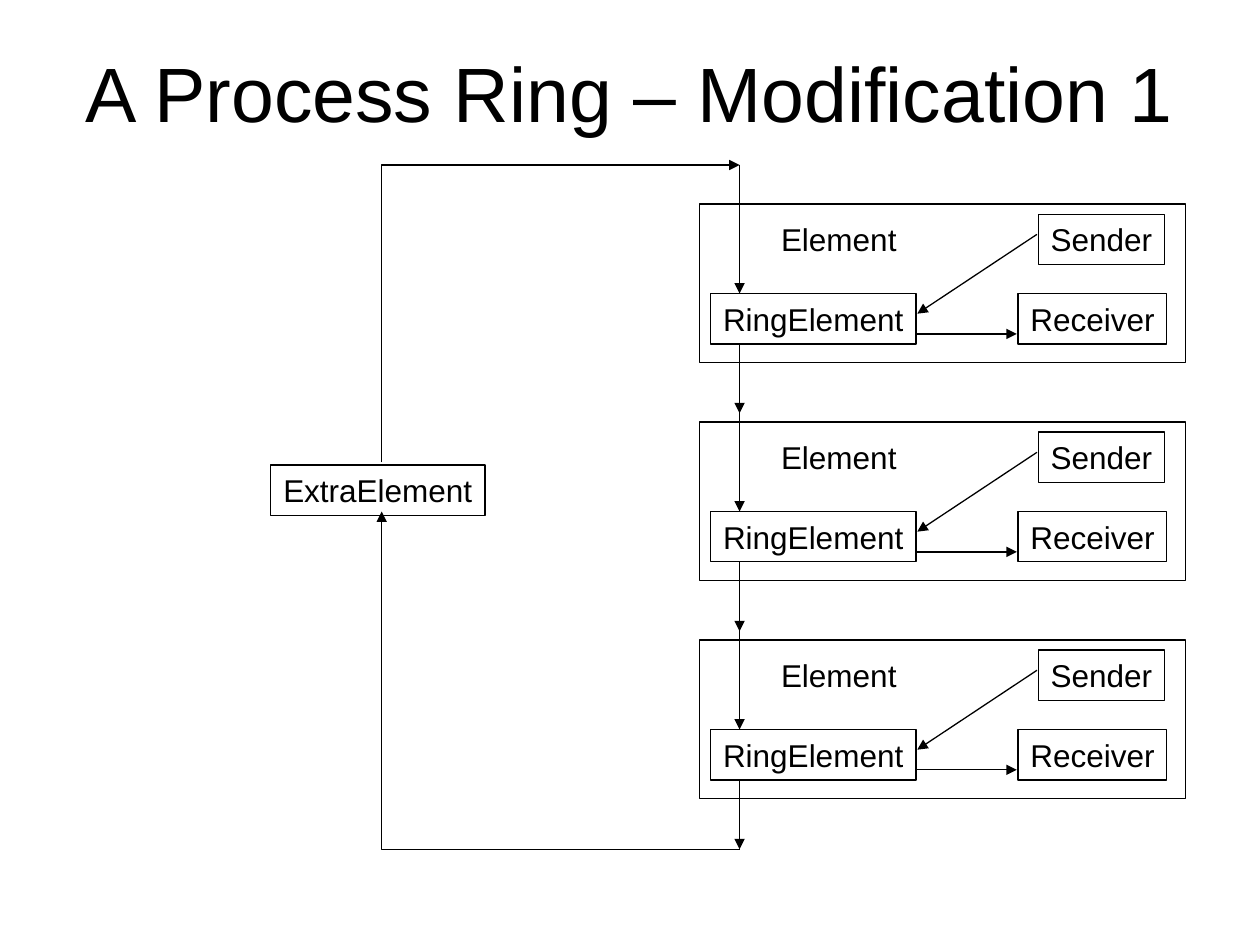
from dataclasses import dataclass

import pptx
import pptx.dml.color
import pptx.enum.shapes
import pptx.enum.text
import pptx.oxml
import pptx.util
from pptx.util import Inches


@dataclass(frozen=True)
class Theme:
    font: str = "Arial"
    ink: pptx.dml.color.RGBColor = pptx.dml.color.RGBColor(0, 0, 0)
    title_size: pptx.util.Pt = pptx.util.Pt(44)
    label_size: pptx.util.Pt = pptx.util.Pt(18)
    line_width: pptx.util.Pt = pptx.util.Pt(0.75)


THEME = Theme()
DRAWING_NAMESPACE = "http://schemas.openxmlformats.org/drawingml/2006/main"
RING_X = 5.87
RING_TOP = 1.31
RING_BOTTOM = 6.74
ELEMENT_COUNT = 3
ELEMENT_PITCH = 1.73


def format_paragraph(paragraph, size, alignment):
    paragraph.font.name = THEME.font
    paragraph.font.size = size
    paragraph.font.color.rgb = THEME.ink
    paragraph.alignment = alignment


def style_line(shape):
    shape.line.color.rgb = THEME.ink
    shape.line.width = THEME.line_width


def add_arrowhead(shape):
    """Put a triangle at the end of the shape's line."""
    line = shape.line._get_or_add_ln()
    line.append(pptx.oxml.parse_xml(
        f'<a:tailEnd xmlns:a="{DRAWING_NAMESPACE}" type="triangle"/>'
    ))


def add_box(shapes, left, top, width, height):
    box = shapes.add_shape(
        pptx.enum.shapes.MSO_SHAPE.RECTANGLE,
        Inches(left), Inches(top), Inches(width), Inches(height),
    )
    box.shadow.inherit = False
    box.fill.background()
    style_line(box)
    return box


def write_label(shape, text):
    """Write one line, with the right inset free so that it never breaks."""
    frame = shape.text_frame
    frame.text = text
    frame.word_wrap = True
    frame.auto_size = pptx.enum.text.MSO_AUTO_SIZE.NONE
    frame.margin_right = 0
    frame.vertical_anchor = pptx.enum.text.MSO_ANCHOR.TOP
    format_paragraph(frame.paragraphs[0], THEME.label_size, pptx.enum.text.PP_ALIGN.LEFT)


def add_arrow(shapes, start, end):
    arrow = shapes.add_connector(
        pptx.enum.shapes.MSO_CONNECTOR.STRAIGHT,
        *(Inches(value) for value in (*start, *end)),
    )
    style_line(arrow)
    add_arrowhead(arrow)
    arrow._element.spPr.append(pptx.oxml.parse_xml(
        f'<a:effectLst xmlns:a="{DRAWING_NAMESPACE}"/>'
    ))


def add_bent_arrow(shapes, points):
    start, *rest = [(Inches(x), Inches(y)) for x, y in points]
    builder = shapes.build_freeform(*start)
    builder.add_line_segments(rest, close=False)
    arrow = builder.convert_to_shape()
    arrow.shadow.inherit = False
    arrow.fill.background()
    style_line(arrow)
    add_arrowhead(arrow)


def add_title(slide, left, top, width, height):
    title = slide.shapes.title
    title.left, title.top = Inches(left), Inches(top)
    title.width, title.height = Inches(width), Inches(height)
    frame = title.text_frame
    frame.text = "A Process Ring – Modification 1"
    frame.auto_size = pptx.enum.text.MSO_AUTO_SIZE.NONE
    frame.vertical_anchor = pptx.enum.text.MSO_ANCHOR.MIDDLE
    format_paragraph(frame.paragraphs[0], THEME.title_size, pptx.enum.text.PP_ALIGN.CENTER)


def add_element(slide, left, top, width, height):
    """Group one ring element with its sender, receiver and arrows."""
    shapes = slide.shapes.add_group_shape().shapes
    add_box(shapes, left, top, width, height)
    caption = shapes.add_textbox(
        Inches(left + 0.55), Inches(top + 0.08), Inches(1.11), Inches(0.4)
    )
    write_label(caption, "Element")
    for text, x, y, box_width in (
        ("RingElement", 0.09, 0.71, 1.63),
        ("Sender", 2.69, 0.08, 1),
        ("Receiver", 2.53, 0.71, 1.18),
    ):
        write_label(add_box(shapes, left + x, top + y, box_width, 0.4), text)
    for start, end in (
        ((2.68, 0.24), (1.73, 0.87)),
        ((1.73, 1.03), (2.52, 1.03)),
        ((0.32, 1.11), (0.32, 1.66)),
        ((0.32, -0.31), (0.32, 0.71)),
    ):
        add_arrow(
            shapes,
            (left + start[0], top + start[1]),
            (left + end[0], top + end[1]),
        )


def add_extra_element(slide, left, top, width, height):
    """Place the extra element and the arrows that close the ring."""
    write_label(add_box(slide.shapes, left, top, width, height), "ExtraElement")
    x = left + 0.88
    add_bent_arrow(
        slide.shapes, [(RING_X, RING_BOTTOM), (x, RING_BOTTOM), (x, top + 0.37)]
    )
    add_bent_arrow(
        slide.shapes, [(x, top - 0.02), (x, RING_TOP), (RING_X, RING_TOP)]
    )


def main():
    presentation = pptx.Presentation()
    presentation.slide_width, presentation.slide_height = Inches(10), Inches(7.5)
    slide = presentation.slides.add_slide(presentation.slide_layouts.get_by_name("Title Only"))
    add_title(slide, 0.5, 0.3, 9, 0.85)
    for index in range(ELEMENT_COUNT):
        add_element(slide, 5.55, 1.62 + index * ELEMENT_PITCH, 3.86, 1.26)
    add_extra_element(slide, 2.15, 3.69, 1.7, 0.4)
    presentation.save("out.pptx")


if __name__ == "__main__":
    main()
